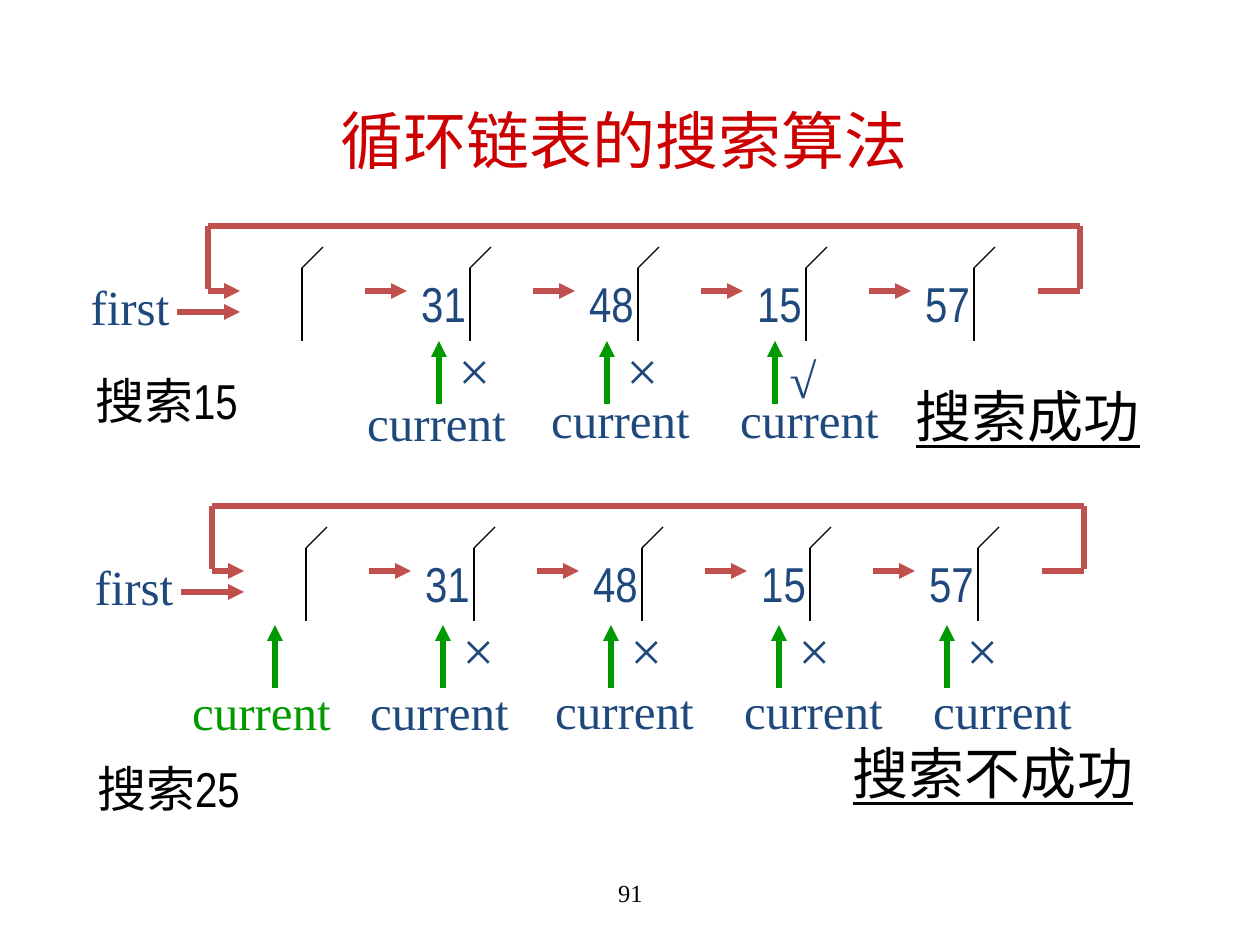
"""Build a slide on searching a circular linked list."""
from pptx import Presentation
from pptx.dml.color import RGBColor
from pptx.enum.shapes import MSO_CONNECTOR
from pptx.enum.text import MSO_ANCHOR, MSO_AUTO_SIZE, PP_ALIGN
from pptx.oxml.ns import qn
from pptx.util import Emu, Pt
from lxml import etree

STRAIGHT = MSO_CONNECTOR.STRAIGHT
TOP, MIDDLE = MSO_ANCHOR.TOP, MSO_ANCHOR.MIDDLE
LEFT, CENTER = PP_ALIGN.LEFT, PP_ALIGN.CENTER
GROW = MSO_AUTO_SIZE.SHAPE_TO_FIT_TEXT
BLACK = RGBColor(0x00, 0x00, 0x00)
RED = RGBColor(0xCC, 0x00, 0x00)
BRICK = RGBColor(0xC0, 0x50, 0x4D)
NAVY = RGBColor(0x1F, 0x49, 0x7D)
GREEN = RGBColor(0x00, 0x99, 0x00)
SERIF, NARROW = "Times New Roman", "Arial Narrow"

SCALE = 914400 / 126
PITCH = 168
VALUES = ["31", "48", "15", "57"]
TITLE = ("循环链表的搜索算法", (325, 94, 611, 92))
PAGE = ("91", (431, 861, 399, 63))
KEYS = [("搜索15", (82, 364, 169, 72)), ("搜索25", (84, 752, 169, 72))]
RESULTS = [("搜索成功", (901, 374, 256, 83)), ("搜索不成功", (838, 731, 312, 83))]

# node index, label left, label top, label colour, mark
LISTS = [
    {"dx": 0, "dy": 0, "arrow_top": 341, "steps": [
        (1, 345, 386, NAVY, "×"), (2, 529, 383, NAVY, "×"), (3, 718, 383, NAVY, "√")]},
    {"dx": 4, "dy": 280, "arrow_top": 345, "steps": [
        (0, 166, 395, GREEN, ""), (1, 344, 395, NAVY, "×"), (2, 529, 394, NAVY, "×"),
        (3, 718, 394, NAVY, "×"), (4, 907, 394, NAVY, "×")]},
]
MARKS = {"×": (278, 330, 57, 79, 32), "√": (273, 343, 52, 72, 28)}
LOOP = [
    (208, 291, 240, 291, True), (177, 312, 240, 312, True),
    (1080, 226, 208, 226, False), (208, 226, 208, 289, False),
    (1080, 226, 1080, 289, False), (1038, 291, 1080, 291, False),
]


def px(n):
    return Emu(round(n * SCALE))


def add_text(shapes, text, box, size, color, font=SERIF, align=CENTER,
             anchor=MIDDLE, wrap=False, grow=True, inset=None, underline=None):
    tf = shapes.add_textbox(*map(px, box)).text_frame
    tf.word_wrap = wrap
    tf.vertical_anchor = anchor
    if grow:
        tf.auto_size = GROW
    if inset:
        tf.margin_left = tf.margin_right = px(inset[0])
        tf.margin_top = tf.margin_bottom = px(inset[1])
    p = tf.paragraphs[0]
    p.alignment = align
    r = p.add_run()
    r.text = text
    r.font.name, r.font.size, r.font.underline = font, Pt(size), underline
    r.font.color.rgb = color


def add_line(shapes, x1, y1, x2, y2, color, width, arrow=False):
    line = shapes.add_connector(STRAIGHT, px(x1), px(y1), px(x2), px(y2))
    line.line.color.rgb = color
    line.line.width = Pt(width)
    if arrow:
        etree.SubElement(line.line._get_or_add_ln(), qn("a:tailEnd"), type="triangle")
    etree.SubElement(line._element.spPr, qn("a:effectLst"))


def add_list(shapes, dx, dy, arrow_top, steps):
    def line(x1, y1, x2, y2, color, width, arrow=False):
        add_line(shapes, x1 + dx, y1 + dy, x2 + dx, y2 + dy, color, width, arrow)

    def label(text, x, y, w, h, size=28, color=NAVY, font=SERIF):
        add_text(shapes, text, (x + dx, y + dy, w, h), size, color, font)

    for i in range(len(VALUES) + 1):
        x = 302 + i * PITCH
        line(x, 268, x, 341, BLACK, 0.75)
        line(x, 268, x + 21, 247, BLACK, 0.75)
    for i, value in enumerate(VALUES):
        x = 365 + i * PITCH
        line(x, 291, x + 42, 291, BRICK, 3, True)
        label(value, x + 43, 267, 71, 72, font=NARROW)
    for x1, y1, x2, y2, arrow in LOOP:
        line(x1, y1, x2, y2, BRICK, 3, arrow)
    label("first", 74, 270, 112, 72)
    for node, left, top, color, mark in steps:
        x = 271 + node * PITCH
        line(x, arrow_top + 63, x, arrow_top, GREEN, 3, True)
        label("current", left, top, 183, 72, color=color)
        if mark:
            mx, my, w, h, size = MARKS[mark]
            label(mark, mx + node * PITCH, my, w, h, size)


def main():
    prs = Presentation()
    prs.slide_width, prs.slide_height = px(1260), px(945)
    s = prs.slides.add_slide(prs.slide_layouts[6])
    add_text(s.shapes, *PAGE, 14, BLACK, wrap=True, grow=False)
    add_text(s.shapes, *TITLE, 36, RED, align=LEFT, anchor=TOP, wrap=True, inset=(15, 8))
    for text, box in RESULTS:
        add_text(s.shapes, text, box, 32, BLACK, align=LEFT, anchor=TOP,
                 inset=(15, 8), underline=True)
    for text, box in KEYS:
        add_text(s.shapes, text, box, 28, BLACK, NARROW)
    for item in LISTS:
        add_list(s.shapes.add_group_shape().shapes, **item)
    prs.save("out.pptx")


if __name__ == "__main__":
    main()
